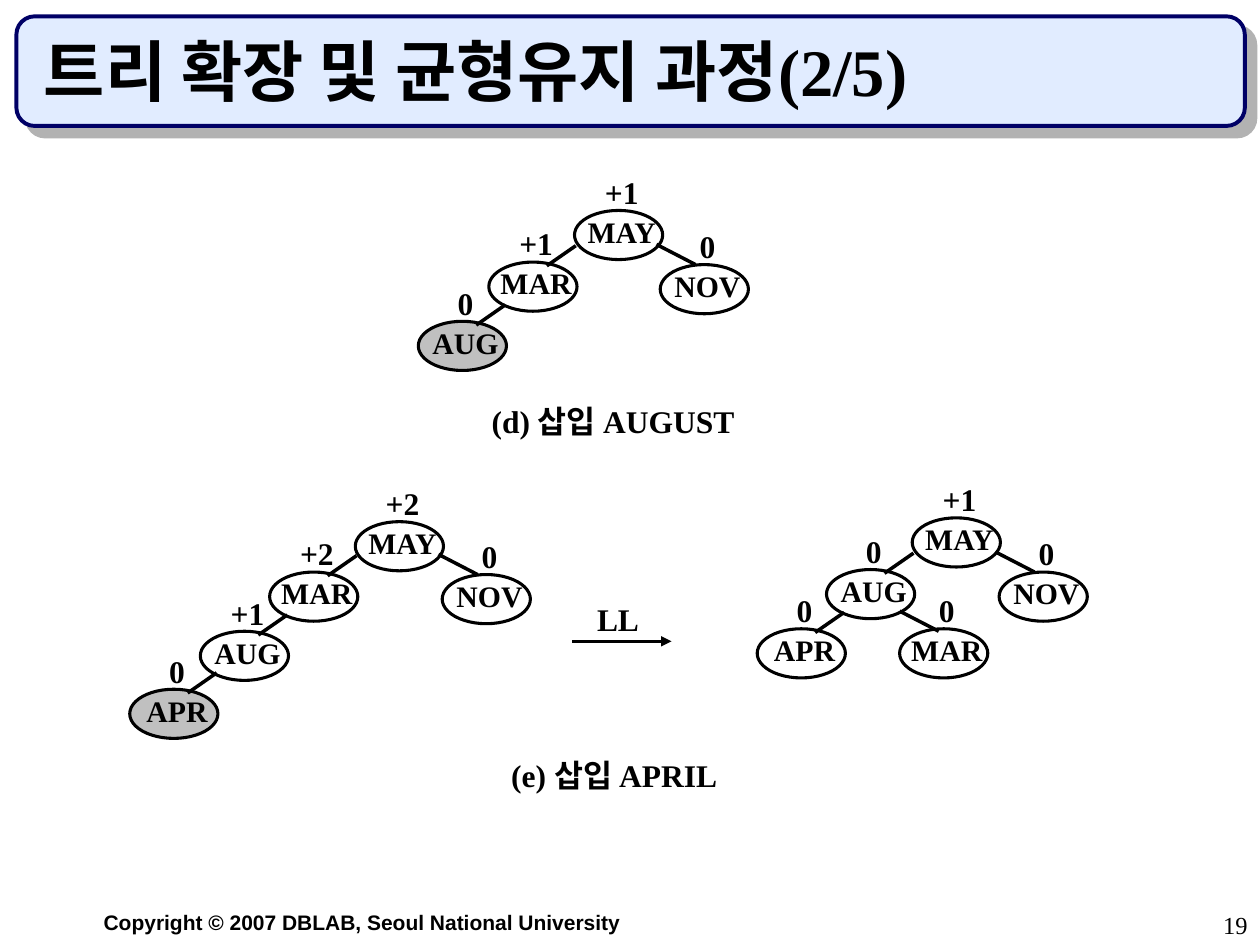
from lxml import etree
from pptx import Presentation
from pptx.dml.color import RGBColor
from pptx.enum.shapes import MSO_CONNECTOR as Conn, MSO_SHAPE as Kind
from pptx.enum.text import MSO_ANCHOR as Anchor, PP_ALIGN as Align
from pptx.oxml import parse_xml
from pptx.oxml.ns import nsdecls, qn
from pptx.util import Inches, Pt

BLACK = RGBColor(0x00, 0x00, 0x00)
NAVY = RGBColor(0x00, 0x00, 0x66)
PALE = RGBColor(0xE1, 0xEC, 0xFF)
GRAY = RGBColor(0xC0, 0xC0, 0xC0)

TITLE = dict(name="Times New Roman", size=Pt(38), bold=True)
LABEL = dict(name="Times New Roman", size=Pt(18), bold=True)
NODE = dict(name="Times New Roman", size=Pt(17), bold=True)
PAGE = dict(name="Times New Roman", size=Pt(14), bold=False)
FOOT = dict(name="Arial", size=Pt(12), bold=True)

TIGHT = dict(alignment=Align.CENTER, line_spacing=0.8)

# Link ends, measured from the corner of the child node
LINKS = {
    "left": (0.69, -0.13, 0.46, 0.03),
    "right": (-0.03, -0.16, 0.28, 0.0),
    "low": (0.0, -0.14, 0.31, 0.02),
}


class Deck:
    def __init__(self):
        self.prs = Presentation()
        self.prs.slide_width = Inches(10)
        self.prs.slide_height = Inches(7.5)
        self.slide = self.prs.slides.add_slide(self.prs.slide_layouts[6])
        self.shapes = self.slide.shapes

    def text(self, words, box, font, para=TIGHT, anchor=Anchor.TOP, host=None):
        host = self.shapes if host is None else host
        frame = host.add_textbox(*map(Inches, box)).text_frame
        frame.word_wrap = True
        frame.vertical_anchor = anchor
        par = frame.paragraphs[0]
        for key, val in para.items():
            setattr(par, key, val)
        run = par.add_run()
        run.text = words
        for key, val in font.items():
            setattr(run.font, key, val)
        run.font.color.rgb = BLACK

    def shape(self, kind, box, fill, line, width, host=None):
        host = self.shapes if host is None else host
        item = host.add_shape(kind, *map(Inches, box))
        item.shadow.inherit = False
        if fill is None:
            item.fill.background()
        else:
            item.fill.solid()
            item.fill.fore_color.rgb = fill
        item.line.color.rgb = line
        item.line.width = Pt(width)
        return item

    def banner(self, box):
        item = self.shape(Kind.ROUNDED_RECTANGLE, box, PALE, NAVY, 2.25)
        item.adjustments[0] = 0.167
        effect = item._element.spPr.find(qn("a:effectLst"))
        effect.append(parse_xml(
            f'<a:outerShdw {nsdecls("a")} dist="{Pt(8.5)}" dir="2700000" '
            'algn="ctr" rotWithShape="0"><a:srgbClr val="B2B2B2"/></a:outerShdw>'))

    def line(self, x1, y1, x2, y2, arrow=False):
        ends = map(Inches, (x1, y1, x2, y2))
        item = self.shapes.add_connector(Conn.STRAIGHT, *ends)
        item.line.color.rgb = BLACK
        item.line.width = Pt(2)
        if arrow:
            etree.SubElement(item.line._get_or_add_ln(), qn("a:tailEnd"), type="triangle")
        etree.SubElement(item._element.spPr, qn("a:effectLst"))

    def node(self, name, factor, x, y, side=None, fill=None):
        host = self.shapes if fill else self.shapes.add_group_shape().shapes
        self.shape(Kind.OVAL, (x, y, 0.7, 0.39), fill, BLACK, 1.75, host)
        self.text(name, (x - 0.04, y + 0.03, 0.83, 0.33), NODE, host=host)
        self.text(factor, (x + 0.06, y - 0.29, 0.63, 0.34), LABEL, host=host)
        if side:
            x1, y1, x2, y2 = LINKS[side]
            self.line(x + x1, y + y1, x + x2, y + y2)

    def tree(self, nodes):
        for node in nodes:
            self.node(*node)


def main():
    deck = Deck()

    # Title and footer
    deck.banner((0.13, 0.13, 9.75, 0.87))
    deck.text("트리 확장 및 균형유지 과정(2/5)", (0.25, 0.25, 9.42, 0.67),
              TITLE, {}, Anchor.BOTTOM)
    deck.text("Copyright © 2007 DBLAB, Seoul National University",
              (0.25, 7.17, 5.25, 0.3), FOOT, dict(alignment=Align.CENTER))
    deck.text("19", (7.92, 7.17, 2.08, 0.33), PAGE, dict(alignment=Align.RIGHT))

    # Step d: insert August
    deck.tree([
        ("MAY", "+1", 4.56, 1.67),
        ("NOV", "0", 5.24, 2.1, "right"),
        ("MAR", "+1", 3.88, 2.08, "left"),
        ("AUG", "0", 3.32, 2.55, "left", GRAY),
    ])
    deck.text("(d) 삽입 AUGUST", (3.66, 3.2, 2.41, 0.34), LABEL)

    # Step e: insert April, before the rotation
    deck.tree([
        ("MAY", "+2", 2.82, 4.14),
        ("NOV", "0", 3.51, 4.56, "right"),
        ("MAR", "+2", 2.14, 4.54, "left"),
        ("AUG", "+1", 1.59, 5.01, "left"),
        ("APR", "0", 1.03, 5.47, "left", GRAY),
    ])

    # LL rotation
    deck.line(4.54, 5.09, 5.33, 5.09, arrow=True)
    deck.text("LL", (4.47, 4.77, 0.87, 0.34), LABEL)

    # Step e: after the rotation
    deck.tree([
        ("MAY", "+1", 7.24, 4.11),
        ("NOV", "0", 7.93, 4.54, "right"),
        ("AUG", "0", 6.56, 4.52, "left"),
        ("APR", "0", 6.01, 4.99, "left"),
        ("MAR", "0", 7.14, 4.99, "low"),
    ])
    deck.text("(e) 삽입 APRIL", (3.67, 6.01, 2.41, 0.34), LABEL)

    deck.prs.save("out.pptx")


if __name__ == "__main__":
    main()
